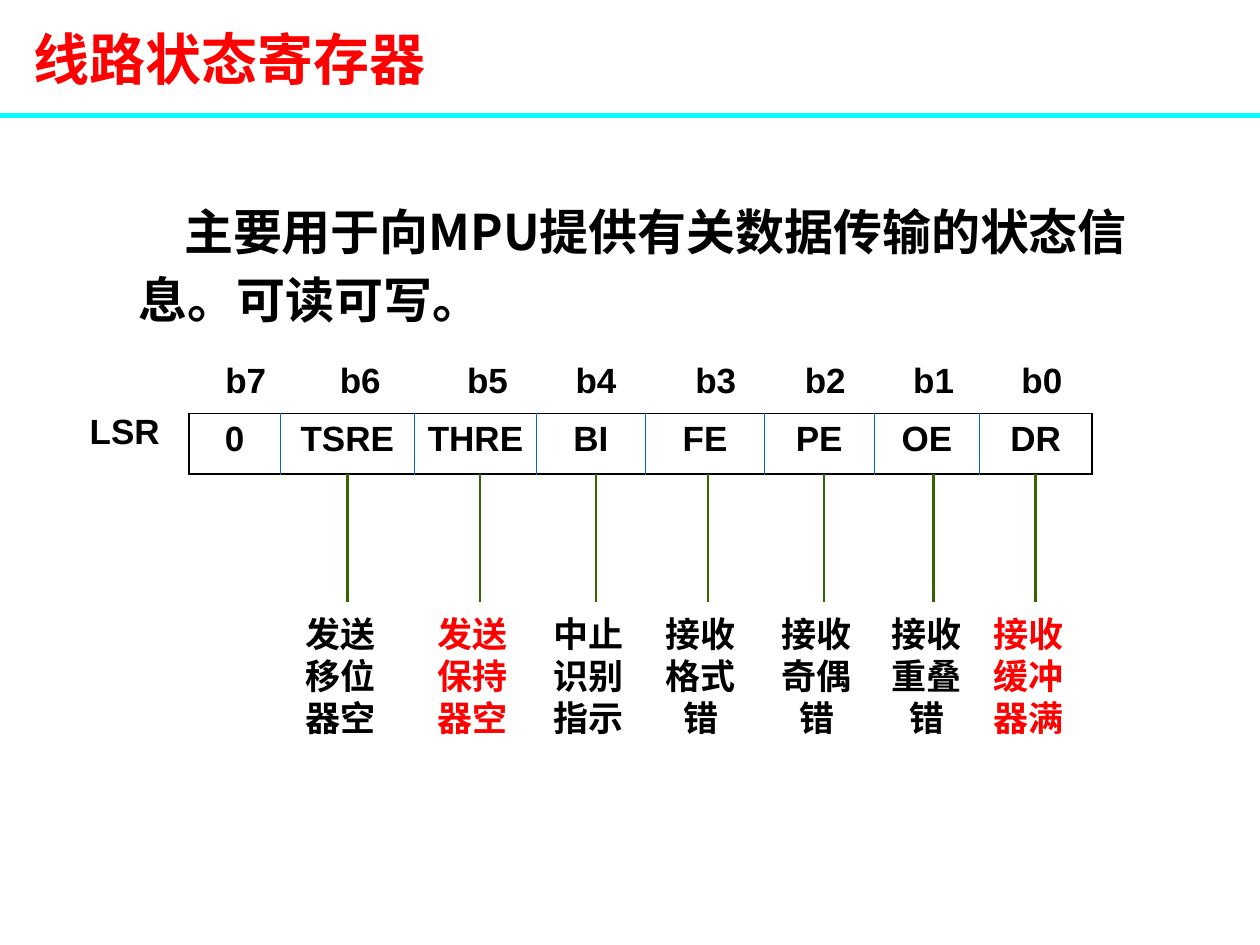
from lxml import etree
from pptx import Presentation
from pptx.dml.color import RGBColor
from pptx.enum import shapes, text
from pptx.oxml import ns
from pptx.util import Pt

COLORS = {"red": "FF0000", "black": "000000", "cyan": "00FFFF",
          "green": "336600", "blue": "0066CC"}
LATIN, HAN = "Arial", "Noto Sans CJK SC"
TABLE_LEFT, TABLE_TOP, TABLE_HEIGHT = 108, 236.2, 34.6
LABEL_TOP = 344.2
LABEL_SHIFT = 4

# name, column width, bit centre, line position, meaning, meaning colour
FIELDS = [
    ("0", 52, 140.4, None, (), None),
    ("TSRE", 77, 205.9, 198.7, ("发送", "移位", "器空"), "black"),
    ("THRE", 69.5, 278.6, 274.3, ("发送", "保持", "器空"), "red"),
    ("BI", 62.5, 340.6, 340.6, ("中止", "识别", "指示"), "black"),
    ("FE", 68, 409, 404.6, ("接收", "格式", "错"), "black"),
    ("PE", 62.5, 471.6, 470.9, ("接收", "奇偶", "错"), "black"),
    ("OE", 60.5, 533.5, 533.5, ("接收", "重叠", "错"), "black"),
    ("DR", 64, 595.4, 591.8, ("接收", "缓冲", "器满"), "red"),
]


def rgb(color):
    return RGBColor.from_string(COLORS[color])


def add_span(para, words, size, font=LATIN, color="black"):
    span = para.add_run()
    span.text = words
    span.font.size = Pt(size)
    span.font.bold = True
    span.font.name = font
    span.font.color.rgb = rgb(color)
    east_asian = etree.SubElement(span.font._element, ns.qn("a:ea"))
    east_asian.set("typeface", HAN)


def add_title(page, words):
    title = page.shapes.title
    title.left, title.top, title.width, title.height = Pt(12), Pt(0), Pt(708), Pt(66)
    frame = title.text_frame
    frame.auto_size = text.MSO_AUTO_SIZE.NONE
    frame.vertical_anchor = text.MSO_ANCHOR.MIDDLE
    para = frame.paragraphs[0]
    para.alignment = text.PP_ALIGN.LEFT
    add_span(para, words, 32, HAN, "red")


def add_text(page, left, top, width, height, lines, size=20, spacing=Pt(22.1),
             font=LATIN, color="black", align=text.PP_ALIGN.CENTER, inset=1.44):
    box = page.shapes.add_textbox(Pt(left), Pt(top), Pt(width), Pt(height))
    frame = box.text_frame
    frame.word_wrap = True
    frame.margin_left = frame.margin_right = Pt(2.88)
    frame.margin_top, frame.margin_bottom = Pt(inset), Pt(2.88)
    for number, line in enumerate(lines):
        para = frame.add_paragraph() if number else frame.paragraphs[0]
        para.alignment = align
        para.line_spacing = spacing
        add_span(para, line, size, font, color)
    return box


def add_line(page, start, end, color, width):
    line = page.shapes.add_connector(
        shapes.MSO_CONNECTOR.STRAIGHT, *[Pt(value) for value in start + end])
    line.line.color.rgb = rgb(color)
    line.line.width = Pt(width)
    etree.SubElement(line._element.spPr, ns.qn("a:effectLst"))


def set_borders(cell, first, last):
    edge, inner = ("black", 1.08), ("blue", 0.45)
    borders = {"lnL": edge if first else inner, "lnR": edge if last else inner,
               "lnT": edge, "lnB": edge}
    properties = cell._tc.get_or_add_tcPr()
    for index, (side, (color, width)) in enumerate(borders.items()):
        border = etree.Element(ns.qn(f"a:{side}"), w=str(Pt(width)))
        fill = etree.SubElement(border, ns.qn("a:solidFill"))
        etree.SubElement(fill, ns.qn("a:srgbClr"), val=COLORS[color])
        properties.insert(index, border)


def add_register(page):
    widths = [field[1] for field in FIELDS]
    frame = page.shapes.add_table(1, len(FIELDS), Pt(TABLE_LEFT), Pt(TABLE_TOP),
                                  Pt(sum(widths)), Pt(TABLE_HEIGHT))
    table = frame.table
    table.first_row = table.horz_banding = False
    for index, field in enumerate(FIELDS):
        table.columns[index].width = Pt(widths[index])
        cell = table.cell(0, index)
        cell.margin_left = cell.margin_right = Pt(3)
        cell.fill.background()
        set_borders(cell, index == 0, index == len(FIELDS) - 1)
        para = cell.text_frame.paragraphs[0]
        para.alignment = text.PP_ALIGN.CENTER
        add_span(para, field[0], 20)


def add_bits(page):
    for index, field in enumerate(FIELDS):
        bit = len(FIELDS) - 1 - index
        add_text(page, field[2] - 17.3, 205.2, 34.6, 31, [f"b{bit}"])


def add_meanings(page):
    for name, width, centre, position, lines, color in FIELDS:
        if not lines:
            continue
        add_text(page, position - LABEL_SHIFT - 36, LABEL_TOP, 72, 79.2, lines,
                 spacing=Pt(24), font=HAN, color=color, inset=5.6)
        add_line(page, (position, TABLE_TOP + TABLE_HEIGHT),
                 (position, LABEL_TOP), "green", 1.5)


def main():
    deck = Presentation()
    deck.slide_width, deck.slide_height = Pt(720), Pt(540)
    page = deck.slides.add_slide(deck.slide_layouts[5])
    add_line(page, (0, 66), (720, 66), "cyan", 3)
    add_title(page, "线路状态寄存器")
    body = add_text(page, 76.3, 105.8, 584.6, 87,
                    ["主要用于向MPU提供有关数据传输的状态信息。可读可写。"],
                    size=28, spacing=Pt(39), font=HAN,
                    align=text.PP_ALIGN.LEFT, inset=4)
    body.text_frame.paragraphs[0]._p.get_or_add_pPr().set("indent", str(Pt(26)))
    add_text(page, 34.6, 234.7, 73.4, 31, ["LSR"])
    add_bits(page)
    add_register(page)
    add_meanings(page)


    deck.save("out.pptx")


if __name__ == "__main__":
    main()
